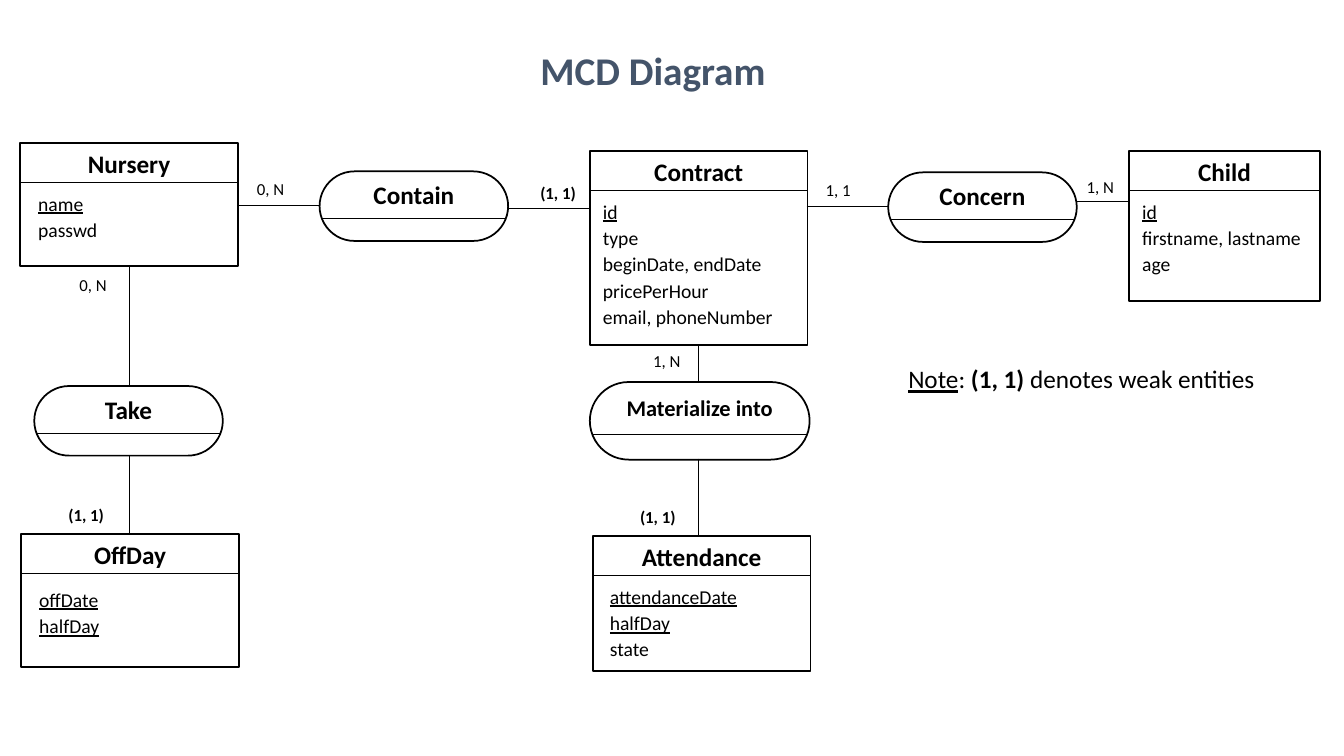
"""Builds the MCD diagram slide of the nursery data model."""
from dataclasses import dataclass

import lxml.etree
import pptx
import pptx.dml.color
import pptx.enum.shapes
import pptx.enum.text
import pptx.oxml.ns
import pptx.util

ALIGN = pptx.enum.text.PP_ALIGN
SHAPE = pptx.enum.shapes.MSO_SHAPE


@dataclass(frozen=True)
class Theme:
    """Colours, font, type sizes and line widths."""
    font: str = "Calibri"
    ink: str = "000000"
    heading: str = "44546A"
    title: int = 28
    name: int = 18
    small_name: int = 16
    attribute: int = 14
    label: int = 12
    outline: float = 1.25
    divider: float = 0.75
    link: float = 0.5


class Diagram:
    """Draws on one slide, over a grid of ten columns and ten rows per inch."""

    cell = pptx.util.Inches(0.1)

    def __init__(self, slide, theme):
        """Keep the slide and the style."""
        self.s = slide
        self.theme = theme

    def grid(self, *lengths):
        """Turn columns and rows into slide lengths."""
        return [round(n * self.cell) for n in lengths]

    def colour(self, value):
        """Turn a theme colour into an RGB colour."""
        return pptx.dml.color.RGBColor.from_string(value)

    def style(self, p, size, colour=None, bold=False, underline=False, align=ALIGN.LEFT):
        """Format a whole paragraph."""
        p.alignment = align
        p.font.name = self.theme.font
        p.font.size = pptx.util.Pt(size)
        p.font.bold = bold
        p.font.underline = underline
        p.font.color.rgb = self.colour(colour or self.theme.ink)

    def stroke(self, line, width):
        """Colour and size a line."""
        line.color.rgb = self.colour(self.theme.ink)
        line.width = pptx.util.Pt(width)

    def title(self, text, x, y, w, h):
        """Place the slide title."""
        sp = self.s.shapes.title
        sp.left, sp.top, sp.width, sp.height = self.grid(x, y, w, h)
        tf = sp.text_frame
        tf.text = text
        tf.auto_size = pptx.enum.text.MSO_AUTO_SIZE.NONE
        tf.vertical_anchor = pptx.enum.text.MSO_ANCHOR.TOP
        tf.paragraphs[0].line_spacing = 1.0
        self.style(tf.paragraphs[0], self.theme.title, self.theme.heading, bold=True)

    def text(self, lines, x, y, w, h, size, keys=0, bold=False,
             align=ALIGN.LEFT, after=2, wrap=True, shapes=None):
        """Add a text box whose first key lines are underlined."""
        sp = (shapes or self.s.shapes).add_textbox(*self.grid(x, y, w, h))
        tf = sp.text_frame
        tf.word_wrap = wrap
        for i, line in enumerate(lines):
            p = tf.add_paragraph() if i else tf.paragraphs[0]
            p.text = line
            p.space_after = pptx.util.Pt(after)
            self.style(p, size, bold=bold, underline=i < keys, align=align)

    def name(self, text, centre, y, w, size, shapes=None):
        """Add a bold name centred on a column."""
        self.text([text], centre - w / 2, y, w, 4, size, bold=True,
                  align=ALIGN.CENTER, after=0, wrap=False, shapes=shapes)

    def line(self, x1, y1, x2, y2, width, shapes=None):
        """Add a straight line."""
        c = (shapes or self.s.shapes).add_connector(
            pptx.enum.shapes.MSO_CONNECTOR.STRAIGHT, *self.grid(x1, y1, x2, y2))
        self.stroke(c.line, width)
        lxml.etree.SubElement(c._element.spPr, pptx.oxml.ns.qn("a:effectLst"))

    def box(self, kind, x, y, w, h, shapes=None):
        """Add an unfilled outline."""
        sp = (shapes or self.s.shapes).add_shape(kind, *self.grid(x, y, w, h))
        sp.shadow.inherit = False
        sp.fill.background()
        self.stroke(sp.line, self.theme.outline)
        return sp

    def entity(self, name, x, y, w, h, attributes, keys, inset, drop, list_w, name_w=10.9):
        """Add an entity with its name, divider and attributes."""
        self.box(SHAPE.RECTANGLE, x, y, w, h)
        self.line(x, y + 3.9, x + w, y + 3.9, self.theme.outline)
        self.name(name, x + w / 2, y, name_w, self.theme.name)
        self.text(attributes, x + inset, y + drop, list_w, 0.8 + 2.63 * len(attributes),
                  self.theme.attribute, keys=keys)

    def association(self, name, x, y, w=18.7, h=6.9, size=None, name_w=11, drop=0.3):
        """Add a grouped pill with its name and divider."""
        shapes = self.s.shapes.add_group_shape().shapes
        self.box(SHAPE.ROUNDED_RECTANGLE, x, y, w, h, shapes).adjustments[0] = 0.5
        level = y + 0.68 * h
        self.line(x + 0.2, level, x + w - 0.2, level, self.theme.divider, shapes)
        self.name(name, x + w / 2, y + drop, name_w, size or self.theme.name, shapes)

    def link(self, ends, label, x, y, w=11.4):
        """Join two shapes and write the cardinality, bold for weak entities."""
        self.line(*ends, self.theme.link)
        self.text([label], x, y, w, 3, self.theme.label, bold=label.startswith("("))

    def note(self, parts, x, y, w, h):
        """Add a line of runs, each with its own underline and weight."""
        sp = self.s.shapes.add_textbox(*self.grid(x, y, w, h))
        sp.text_frame.word_wrap = True
        p = sp.text_frame.paragraphs[0]
        self.style(p, self.theme.name)
        for text, underline, bold in parts:
            r = p.add_run()
            r.text = text
            r.font.underline = underline
            r.font.bold = bold


def main():
    """Build and save the slide."""
    prs = pptx.Presentation()
    prs.slide_width = pptx.util.Inches(13.33)
    prs.slide_height = pptx.util.Inches(7.5)
    theme = Theme()
    d = Diagram(prs.slides.add_slide(prs.slide_layouts[5]), theme)
    d.title("MCD Diagram", 52.6, 4.1, 29.6, 5.7)

    d.entity("Nursery", 2, 14.2, 21.6, 12.2, ["name", "passwd"], 1, 0.8, 4.3, 11.4)
    d.entity("Contract", 58.5, 15, 21.6, 19.2,
             ["id", "type", "beginDate, endDate", "pricePerHour", "email, phoneNumber"],
             1, 0.3, 4.3, 19.8)
    d.entity("Child", 112, 15, 18.9, 14.9, ["id", "firstname, lastname", "age"],
             1, 0.3, 4.3, 19.8)
    d.entity("OffDay", 2.1, 53, 21.6, 13.2, ["offDate", "halfDay"], 2, 0.8, 4.8, 11.4)
    d.entity("Attendance", 58.8, 53.2, 21.6, 13.4, ["attendanceDate", "halfDay", "state"],
             2, 0.7, 4.3, 22.7, name_w=15.6)

    d.association("Contain", 31.7, 17)
    d.association("Concern", 88.1, 17.1)
    d.association("Take", 3.4, 38.3)
    d.association("Materialize into", 58.5, 37.9, 21.8, 7.7, theme.small_name, 17.1, 0.7)

    d.link((23.6, 20.4, 31.7, 20.4), "0, N", 24.5, 17.2)
    d.link((50.4, 20.7, 58.5, 20.7), "(1, 1)", 52.6, 17.6, 5.8)
    d.link((80, 20.5, 88.1, 20.5), "1, 1", 80.9, 17.3)
    d.link((106.8, 20, 112, 20), "1, N", 106.8, 17, 5.8)
    d.link((12.8, 26.4, 12.8, 38.3), "0, N", 6.9, 26.8)
    d.link((12.8, 45.2, 12.8, 53), "(1, 1)", 5.8, 49.6)
    d.link((69.3, 34.2, 69.3, 37.9), "1, N", 63.8, 34.3)
    d.link((69.3, 45.5, 69.3, 53.2), "(1, 1)", 62.5, 49.8)

    d.note([("Note", True, False), (": ", False, False), ("(1, 1) ", False, True),
            ("denotes weak entities", False, False)], 89.1, 35.6, 36.5, 4)
    prs.save("out.pptx")


if __name__ == "__main__":
    main()
